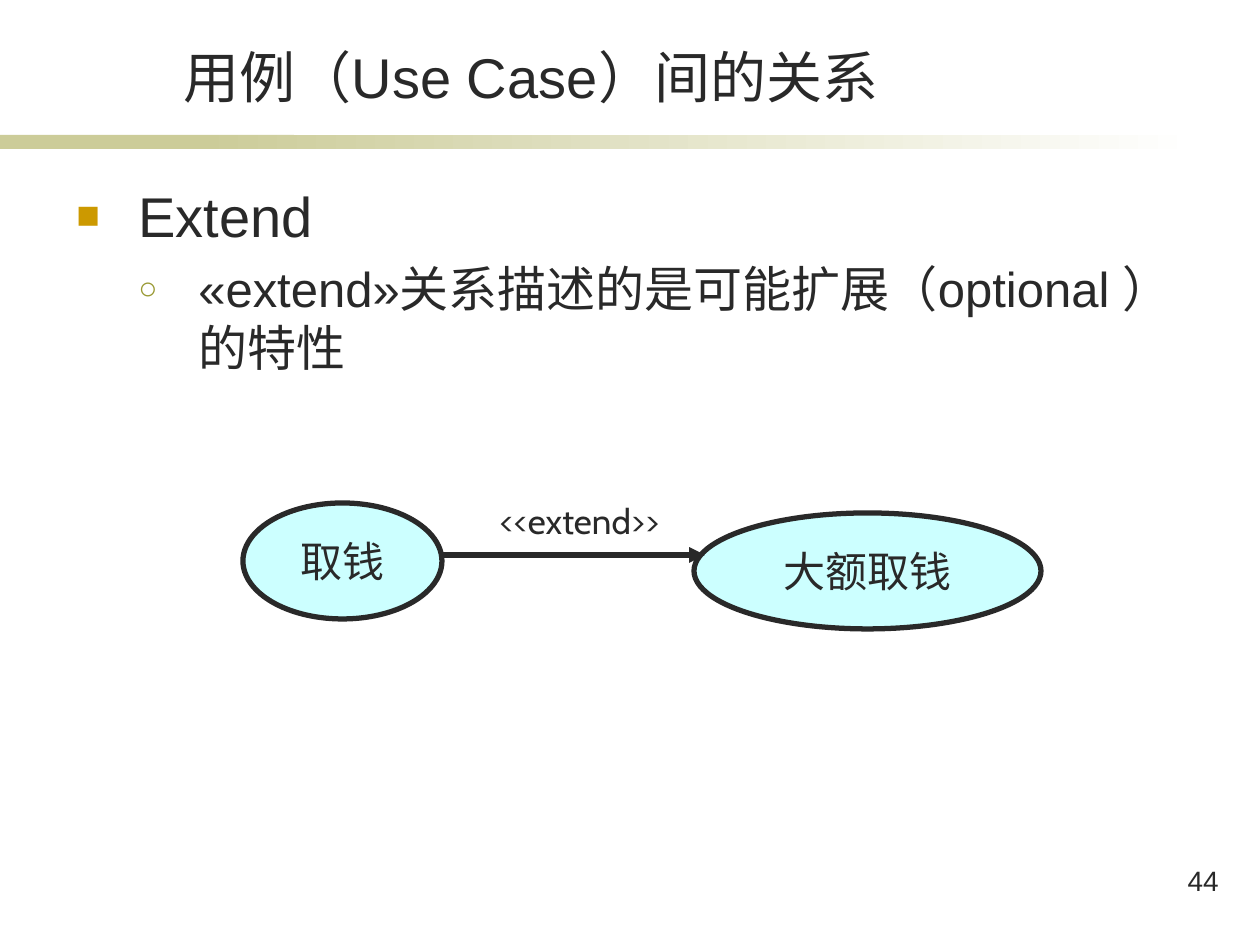
import pptx
import pptx.util
import pptx.dml.color
import pptx.enum.shapes
import pptx.enum.text
import pptx.oxml.ns
from lxml import etree

EMU_PER_PX = 914400 // 126
COLORS = {
    "ink": "292929", "band": "CCCC99", "white": "FFFFFF", "case": "CCFFFF",
    "square": "CC9900", "circle": "999933",
}
ALIGN = pptx.enum.text.PP_ALIGN
ANCHOR = pptx.enum.text.MSO_ANCHOR
SHAPE = pptx.enum.shapes.MSO_SHAPE

TITLE = "用例（Use Case）间的关系"
POINTS = [
    dict(text="Extend", size=32, before=4, left=62, hang=62,
         bullet=("■", "square", 70)),
    dict(text="«extend»关系描述的是可能扩展（optional ）的特性", size=28, before=6,
         left=122, hang=60, bullet=("○", "circle", 65)),
]
USE_CASES = [("取钱", (243, 503, 199, 116)), ("大额取钱", (694, 513, 347, 116))]
RELATION = "<<extend>>"
ARROW = (442, 555, 705, 555)
PAGE = "44"


def px(*values):
    return [value * EMU_PER_PX for value in values]


def rgb(name):
    return pptx.dml.color.RGBColor.from_string(COLORS[name])


def add_xml(parent, tag, **attributes):
    return etree.SubElement(parent, pptx.oxml.ns.qn(tag), attributes)


def write(paragraph, text, size, font="Arial", align=ALIGN.LEFT, before=0,
          left=0, hang=0, bullet=None):
    paragraph.alignment = align
    paragraph.space_before = pptx.util.Pt(before)
    run = paragraph.add_run()
    run.text = text
    run.font.size = pptx.util.Pt(size)
    run.font.name = font
    run.font.color.rgb = rgb("ink")
    if bullet:
        mark, color, percent = bullet
        properties = paragraph._p.get_or_add_pPr()
        properties.set("marL", str(left * EMU_PER_PX))
        properties.set("indent", str(-hang * EMU_PER_PX))
        add_xml(add_xml(properties, "a:buClr"), "a:srgbClr", val=COLORS[color])
        add_xml(properties, "a:buSzPct", val=str(percent * 1000))
        add_xml(properties, "a:buFont", typeface="Arial")
        add_xml(properties, "a:buChar", char=mark)


def add_text_frame(slide, box, anchor=ANCHOR.TOP):
    frame = slide.shapes.add_textbox(*px(*box)).text_frame
    frame.word_wrap = True
    frame.vertical_anchor = anchor
    return frame


def add_shape(slide, kind, box):
    shape = slide.shapes.add_shape(kind, *px(*box))
    shape.shadow.inherit = False
    return shape


def add_band(slide):
    solid = add_shape(slide, SHAPE.RECTANGLE, (0, 135, 294, 14))
    solid.fill.solid()
    solid.fill.fore_color.rgb = rgb("band")
    fade = add_shape(slide, SHAPE.RECTANGLE, (199, 135, 998, 14))
    fade.fill.gradient()
    fade.fill.gradient_angle = 0
    for stop, color in zip(fade.fill.gradient_stops, ("band", "white")):
        stop.color.rgb = rgb(color)
    for part in (solid, fade):
        part.line.fill.background()


def set_outline(line):
    line.color.rgb = rgb("ink")
    line.width = pptx.util.Pt(3)


def add_use_case(slide, name, box):
    case = add_shape(slide, SHAPE.OVAL, box)
    case.fill.solid()
    case.fill.fore_color.rgb = rgb("case")
    set_outline(case.line)
    case.text_frame.word_wrap = False
    case.text_frame.vertical_anchor = ANCHOR.MIDDLE
    write(case.text_frame.paragraphs[0], name, 24, font="Cabin", align=ALIGN.CENTER)


def add_arrow(slide, ends):
    arrow = slide.shapes.add_connector(
        pptx.enum.shapes.MSO_CONNECTOR.STRAIGHT, *px(*ends))
    set_outline(arrow.line)
    add_xml(arrow.line._get_or_add_ln(), "a:tailEnd", type="triangle")
    add_xml(arrow._element.spPr, "a:effectLst")


def main():
    deck = pptx.Presentation()
    deck.slide_width, deck.slide_height = pptx.util.Inches(10), pptx.util.Inches(7.5)
    slide = deck.slides.add_slide(deck.slide_layouts[6])

    add_band(slide)
    title = add_text_frame(slide, (144, 37, 774, 79), ANCHOR.BOTTOM)
    write(title.paragraphs[0], TITLE, 32, align=ALIGN.CENTER)

    body = add_text_frame(slide, (64, 175, 1150, 635))
    for index, point in enumerate(POINTS):
        paragraph = body.add_paragraph() if index else body.paragraphs[0]
        paragraph.level = index
        write(paragraph, **point)

    page = add_text_frame(slide, (1103, 857, 128, 63))
    write(page.paragraphs[0], PAGE, 16, align=ALIGN.RIGHT)

    for name, box in USE_CASES:
        add_use_case(slide, name, box)
    add_arrow(slide, ARROW)
    relation = add_text_frame(slide, (422, 493, 315, 54))
    write(relation.paragraphs[0], RELATION, 20, font="Cabin", align=ALIGN.CENTER)

    deck.save("out.pptx")


if __name__ == "__main__":
    main()
